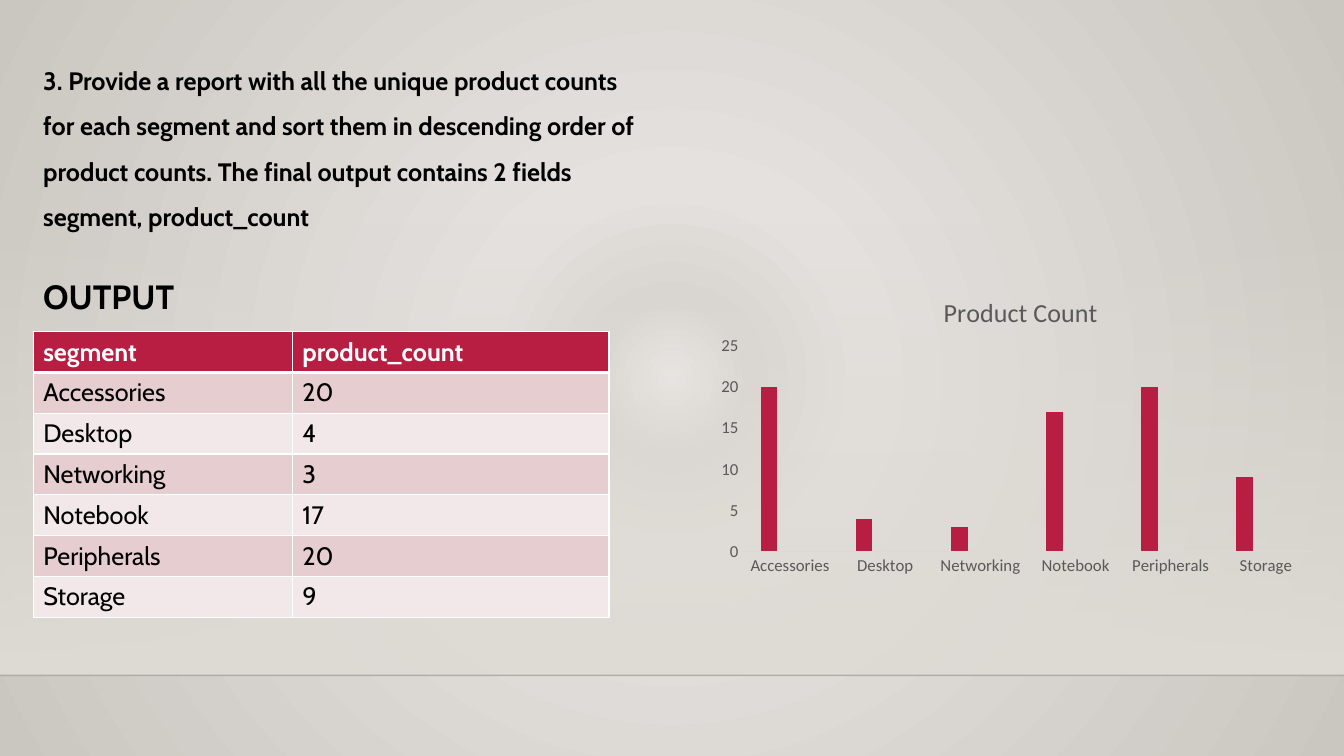
"""Build the product count slide: question, output table and column chart."""
from lxml import etree
from pptx import Presentation
from pptx.chart.data import CategoryChartData
from pptx.dml.color import RGBColor
from pptx.enum.chart import XL_CHART_TYPE, XL_TICK_MARK
from pptx.enum.shapes import MSO_CONNECTOR, MSO_SHAPE
from pptx.enum.text import MSO_ANCHOR
from pptx.oxml import parse_xml
from pptx.oxml.ns import nsdecls, qn
from pptx.util import Inches, Pt

COLUMN = XL_CHART_TYPE.COLUMN_CLUSTERED
NO_TICK = XL_TICK_MARK.NONE
STRAIGHT = MSO_CONNECTOR.STRAIGHT
RECT = MSO_SHAPE.RECTANGLE
TOP, MIDDLE = MSO_ANCHOR.TOP, MSO_ANCHOR.MIDDLE

BLACK = RGBColor(0, 0, 0)
WHITE = RGBColor(255, 255, 255)
CRIMSON = RGBColor(0xB7, 0x1E, 0x42)
PINK = RGBColor(0xDE, 0x47, 0x8E)
VIOLET = RGBColor(0xBC, 0x72, 0xF0)
BANDS = RGBColor(0xE6, 0xCD, 0xCF), RGBColor(0xF3, 0xE8, 0xE9)
GREY = RGBColor(0x59, 0x59, 0x59)
AXIS_GREY = RGBColor(0xD9, 0xD9, 0xD9)
BACKDROP = [(0, "ECEAE7", 100), (10, "D9D6D2", 100), (25, "E4E1DE", 100), (100, "CAC7C1", 100)]
WALL = [(0, "DFDBD5", 0), (100, "DFDBD5", 100)]
RADIAL = ('<a:path path="circle"><a:fillToRect l="50000" t="50000" '
          'r="50000" b="50000"/></a:path>')
DOWNWARD = '<a:lin ang="5400000" scaled="0"/>'

FONT, CHART_FONT = "Cabin", "Calibri"
LEFT = 0.33
QUESTION = ("3. Provide a report with all the unique product counts for each segment "
            "and sort them in descending order of product counts. The final output "
            "contains 2 fields segment, product_count")
TEXTS = [(QUESTION, 0.45, 6.09, 1.87, 18, 1.5), ("OUTPUT", 2.69, 1.64, 0.5, 24, 1)]
HEADER = ("segment", "product_count")
COUNTS = [("Accessories", 20), ("Desktop", 4), ("Networking", 3),
          ("Notebook", 17), ("Peripherals", 20), ("Storage", 9)]
COL_WIDTHS = (2.57, 3.14)
ROW_HEIGHT = 0.405


def style(font, size, color, bold=False, name=FONT):
    font.name, font.size, font.bold = name, Pt(size), bold
    font.color.rgb = color


def set_gradient(fill, parent, stops, direction):
    fill.gradient()
    old = parent.find(qn("a:gradFill"))
    gs = "".join(f'<a:gs pos="{pos * 1000}"><a:srgbClr val="{color}">'
                 f'<a:alpha val="{alpha * 1000}"/></a:srgbClr></a:gs>'
                 for pos, color, alpha in stops)
    parent.replace(old, parse_xml(f'<a:gradFill {nsdecls("a")} rotWithShape="1">'
                                  f'<a:gsLst>{gs}</a:gsLst>{direction}</a:gradFill>'))


def set_borders(cell, top, bottom):
    tc_pr = cell._tc.get_or_add_tcPr()
    widths = {"lnL": 1, "lnR": 1, "lnT": top, "lnB": bottom}
    for i, (tag, width) in enumerate(widths.items()):
        tc_pr.insert(i, parse_xml(
            f'<a:{tag} {nsdecls("a")} w="{Pt(width)}"><a:solidFill>'
            f'<a:srgbClr val="{WHITE}"/></a:solidFill></a:{tag}>'))


def set_layout(parent, index, inner=False, **places):
    for old in parent.findall(qn("c:layout")):
        parent.remove(old)
    target = '<c:layoutTarget val="inner"/>' if inner else ""
    modes = "".join(f'<c:{k}Mode val="edge"/>' for k in "xy")
    values = "".join(f'<c:{k} val="{v}"/>' for k, v in places.items())
    parent.insert(index, parse_xml(
        f'<c:layout {nsdecls("c")}><c:manualLayout>{target}{modes}{values}'
        '</c:manualLayout></c:layout>'))


prs = Presentation()
prs.slide_width, prs.slide_height = Inches(13.33), Inches(7.5)
s = prs.slides.add_slide(prs.slide_layouts[6])
background = s.background.fill
set_gradient(background, s._element.cSld.bg.bgPr, BACKDROP, RADIAL)

wall = s.shapes.add_shape(RECT, 0, Inches(2.21), prs.slide_width, Inches(4.49))
wall.shadow.inherit = False
wall.line.fill.background()
set_gradient(wall.fill, wall._element.spPr, WALL, DOWNWARD)

floor = s.shapes.add_connector(STRAIGHT, 0, Inches(6.7), prs.slide_width, Inches(6.7))
floor.line.width = Pt(1)
floor.line.color.rgb = BLACK
floor_pr = floor._element.spPr
floor_color = floor_pr.find(".//" + qn("a:srgbClr"))
etree.SubElement(floor_color, qn("a:alpha")).set("val", "20000")
etree.SubElement(floor_pr, qn("a:effectLst"))

for text, top, width, height, size, spacing in TEXTS:
    tf = s.shapes.add_textbox(Inches(LEFT), Inches(top), Inches(width), Inches(height)).text_frame
    tf.word_wrap = True
    tf.text = text
    p = tf.paragraphs[0]
    p.line_spacing = spacing
    style(p.runs[0].font, size, BLACK, True)

data = CategoryChartData()
data.categories = [segment for segment, _ in COUNTS]
data.add_series("Series 1", [count for _, count in COUNTS])
for name in ("Series 2", "Series 3"):
    data.add_series(name, [None] * len(COUNTS))
chart = s.shapes.add_chart(COLUMN, Inches(7.06), Inches(2.69),
                           Inches(6.09), Inches(3.09), data).chart
style(chart.font, 10, BLACK, name=CHART_FONT)
chart.has_legend = False
chart.has_title = True
title = chart.chart_title
title.text_frame.text = "Product Count"
style(title.text_frame.paragraphs[0].runs[0].font, 18.6, GREY, name=CHART_FONT)
title.include_in_layout = False
set_layout(title._element, 1, x=0.37, y=0.06)
set_layout(chart._chartSpace.chart.plotArea, 0, True, x=0.05, y=0.24, w=0.93, h=0.66)

plot = chart.plots[0]
plot.gap_width, plot.overlap, plot.vary_by_categories = 219, -27, False
for series, color in zip(plot.series, (CRIMSON, PINK, VIOLET)):
    series.format.fill.solid()
    series.format.fill.fore_color.rgb = color
for axis in (chart.category_axis, chart.value_axis):
    axis.major_tick_mark = axis.minor_tick_mark = NO_TICK
    axis.has_major_gridlines = False
    style(axis.tick_labels.font, 12, GREY, name=CHART_FONT)
chart.category_axis.format.line.color.rgb = AXIS_GREY
chart.category_axis.format.line.width = Pt(0.75)
values = chart.value_axis
values.format.line.fill.background()
values.minimum_scale, values.maximum_scale, values.major_unit = 0, 25, 5

rows = [HEADER] + COUNTS
table = s.shapes.add_table(len(rows), len(HEADER), Inches(LEFT), Inches(3.29),
                           Inches(sum(COL_WIDTHS)), Inches(ROW_HEIGHT * len(rows))).table
for column, width in zip(table.columns, COL_WIDTHS):
    column.width = Inches(width)
for i, row in enumerate(rows):
    table.rows[i].height = Inches(ROW_HEIGHT)
    head = i == 0
    for j, value in enumerate(row):
        cell = table.cell(i, j)
        cell.text = str(value)
        cell.vertical_anchor = TOP if head else MIDDLE
        cell.fill.solid()
        cell.fill.fore_color.rgb = CRIMSON if head else BANDS[(i - 1) % 2]
        style(cell.text_frame.paragraphs[0].runs[0].font, 18, WHITE if head else BLACK, head)
        set_borders(cell, 3 if i == 1 else 1, 3 if head else 1)

prs.save("out.pptx")
